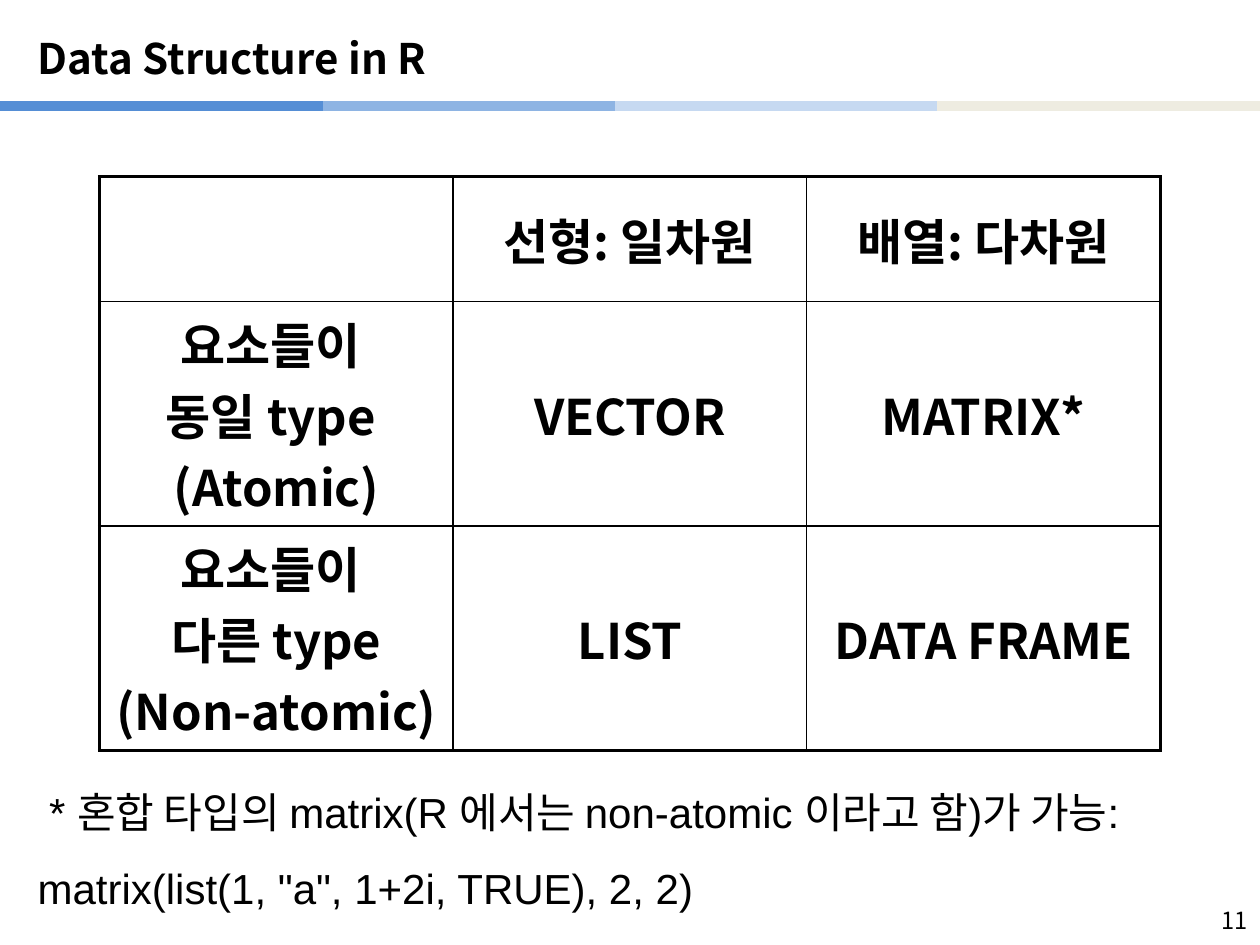
from typing import NamedTuple

from lxml import etree
from pptx import Presentation
from pptx.dml.color import RGBColor
from pptx.enum.shapes import MSO_CONNECTOR
from pptx.enum.text import MSO_ANCHOR, PP_ALIGN
from pptx.oxml.ns import qn
from pptx.util import Inches, Pt

STRAIGHT = MSO_CONNECTOR.STRAIGHT
MIDDLE, TOP = MSO_ANCHOR.MIDDLE, MSO_ANCHOR.TOP
LEFT, CENTER, RIGHT = PP_ALIGN.LEFT, PP_ALIGN.CENTER, PP_ALIGN.RIGHT
SLIDE_WIDTH, SLIDE_HEIGHT = Inches(10), Inches(7.5)
KOREAN_FONT, LATIN_FONT = "Noto Sans CJK KR", "Arial"
BLACK = "000000"
OUTER_BORDER, INNER_BORDER = Pt(2.25), Pt(1)


class Box(NamedTuple):
    left: float
    top: float
    width: float
    height: float


class Band(NamedTuple):
    start: float
    color: str


BAND_WIDTH, BAND_TOP = 0.256, 0.112
BANDS = [
    Band(0.232, "8EB4E3"),
    Band(0.488, "C6D9F1"),
    Band(0.744, "EEECE1"),
    Band(0, "558ED5"),
]
TITLE_BOX = Box(0.02, 0.021, 0.961, 0.08)
TABLE_BOX = Box(0.079, 0.187, 0.842, 0.607)
NOTE_BOX = Box(0.02, 0.799, 0.961, 0.189)
NUMBER_BOX = Box(0.95, 0.952, 0.05, 0.048)

ROW_SHARES = [0.218, 0.391, 0.391]
CELL_TEXTS = [
    ["", "선형: 일차원", "배열: 다차원"],
    ["요소들이 \v동일 type \v(Atomic)", "VECTOR", "MATRIX*"],
    ["요소들이 \v다른 type\v(Non-atomic)", "LIST", "DATA FRAME"],
]
NOTE = (
    " * 혼합 타입의 matrix(R 에서는 non-atomic 이라고 함)가 가능: "
    'matrix(list(1, "a", 1+2i, TRUE), 2, 2)'
)


def color(value: str) -> RGBColor:
    return RGBColor.from_string(value)


def set_all(target, values: dict) -> None:
    for name, value in values.items():
        setattr(target, name, value)


def lengths(box: Box) -> tuple:
    return (
        int(box.left * SLIDE_WIDTH),
        int(box.top * SLIDE_HEIGHT),
        int(box.width * SLIDE_WIDTH),
        int(box.height * SLIDE_HEIGHT),
    )


def write(frame, text: str, size: float, alignment, font=KOREAN_FONT, bold=False):
    paragraph = frame.paragraphs[0]
    paragraph.text = text
    paragraph.alignment = alignment
    for run in paragraph.runs:
        set_all(run.font, {"name": font, "size": Pt(size), "bold": bold})
        run.font.color.rgb = color(BLACK)
        east_asian = etree.SubElement(run.font._element, qn("a:ea"))
        east_asian.set("typeface", KOREAN_FONT)
    return paragraph


def draw_band(slide, band: Band) -> None:
    top = int(BAND_TOP * SLIDE_HEIGHT)
    start = int(band.start * SLIDE_WIDTH)
    end = int((band.start + BAND_WIDTH) * SLIDE_WIDTH)
    connector = slide.shapes.add_connector(STRAIGHT, start, top, end, top)
    connector.line.color.rgb = color(band.color)
    connector.line.width = Pt(6)
    etree.SubElement(connector._element.spPr, qn("a:effectLst"))


def draw_title(slide, text: str) -> None:
    title = slide.shapes.title
    set_all(title, dict(zip(("left", "top", "width", "height"), lengths(TITLE_BOX))))
    title.text_frame.vertical_anchor = MIDDLE
    write(title.text_frame, text, 24, LEFT, bold=True)


def draw_text(slide, box: Box, text: str, size: float, alignment, font: str):
    frame = slide.shapes.add_textbox(*lengths(box)).text_frame
    set_all(frame, {"word_wrap": True, "vertical_anchor": TOP})
    return write(frame, text, size, alignment, font)


def set_borders(cell, widths: dict) -> None:
    properties = cell._tc.get_or_add_tcPr()
    for position, (side, width) in enumerate(widths.items()):
        line = etree.Element(qn(f"a:ln{side}"), w=str(width))
        fill = etree.SubElement(line, qn("a:solidFill"))
        etree.SubElement(fill, qn("a:srgbClr"), val=BLACK)
        properties.insert(position, line)


def draw_table(slide, texts: list) -> None:
    last_row, last_column = len(texts) - 1, len(texts[0]) - 1
    box = lengths(TABLE_BOX)
    table = slide.shapes.add_table(len(texts), len(texts[0]), *box).table
    set_all(table, {"first_row": False, "horz_banding": False})
    for row, share in zip(table.rows, ROW_SHARES):
        row.height = int(share * box[3])
    cell_format = {
        "vertical_anchor": MIDDLE,
        "margin_left": Inches(0.11),
        "margin_right": Inches(0.11),
        "margin_top": Inches(0.05),
        "margin_bottom": Inches(0.05),
    }
    for row, row_texts in enumerate(texts):
        for column, text in enumerate(row_texts):
            cell = table.cell(row, column)
            set_all(cell, cell_format)
            cell.fill.background()
            paragraph = write(cell.text_frame, text, 28, CENTER, bold=True)
            spacing = etree.SubElement(paragraph._p.get_or_add_pPr(), qn("a:spcBef"))
            etree.SubElement(spacing, qn("a:spcPct"), val="20000")
            edges = {
                "L": column == 0,
                "R": column == last_column,
                "T": row == 0,
                "B": row == last_row,
            }
            set_borders(cell, {
                side: OUTER_BORDER if outer else INNER_BORDER
                for side, outer in edges.items()
            })


def main() -> None:
    presentation = Presentation()
    set_all(presentation, {"slide_width": SLIDE_WIDTH, "slide_height": SLIDE_HEIGHT})
    slide = presentation.slides.add_slide(presentation.slide_layouts[5])
    draw_text(slide, NUMBER_BOX, "11", 13.5, RIGHT, KOREAN_FONT)
    for band in BANDS:
        draw_band(slide, band)
    draw_title(slide, "Data Structure in R")
    draw_table(slide, CELL_TEXTS)
    note = draw_text(slide, NOTE_BOX, NOTE, 24, LEFT, LATIN_FONT)
    note.line_spacing = 1.5
    presentation.save("out.pptx")


if __name__ == "__main__":
    main()
